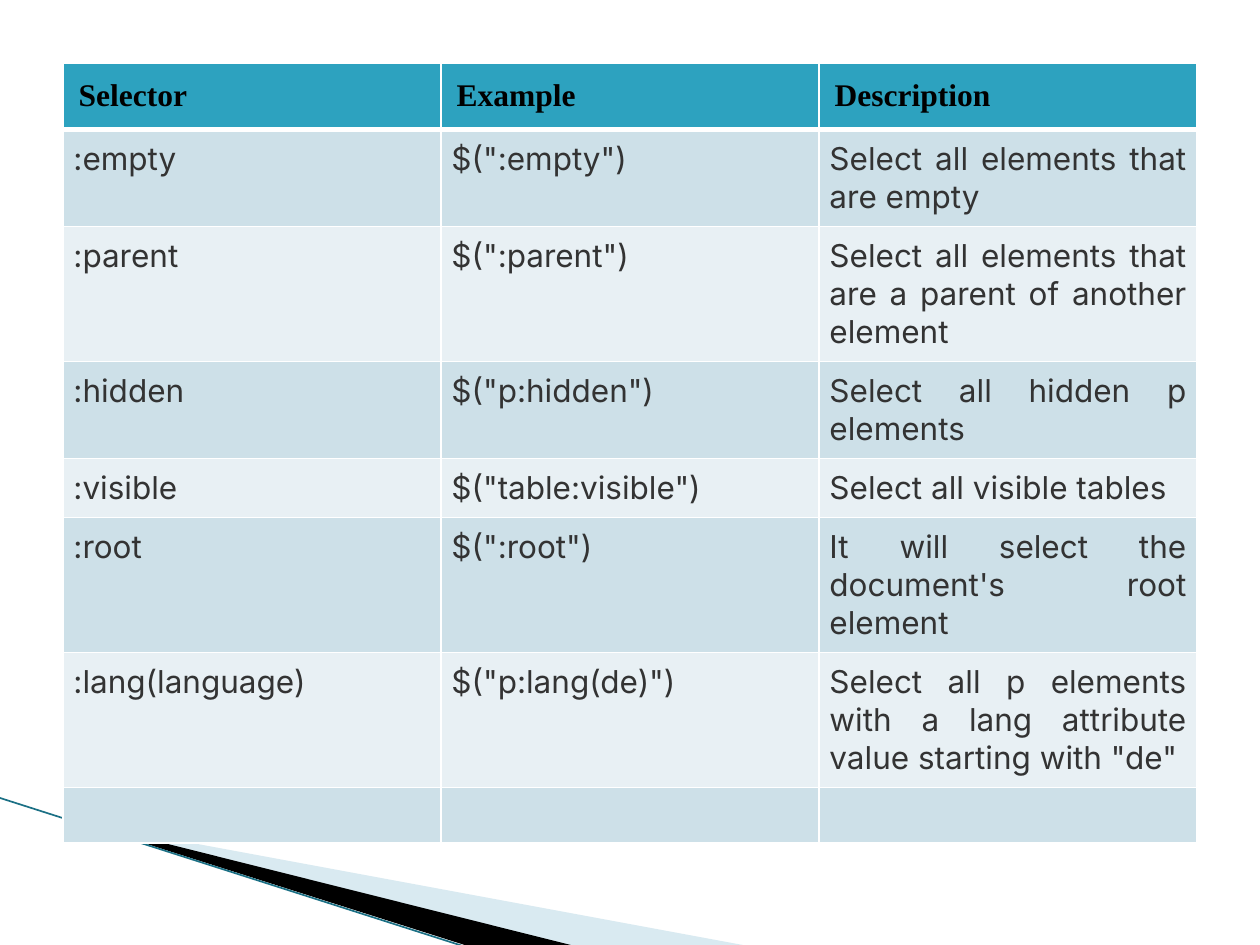
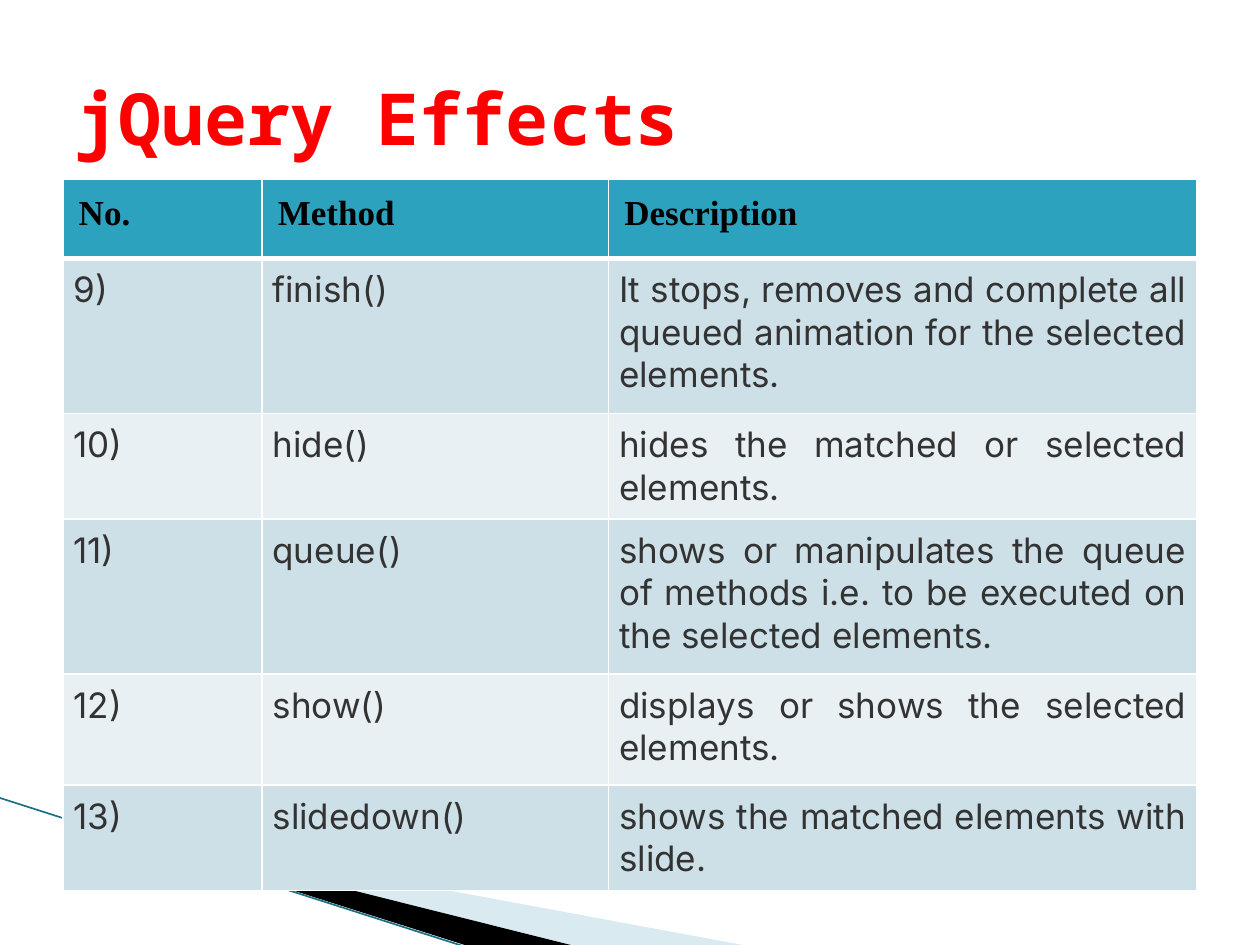
from lxml import etree
from pptx import Presentation
from pptx import util as u
from pptx.dml.color import RGBColor
from pptx.enum import shapes, text
from pptx.oxml import ns

WHITE, BLACK, INK, RED = "FFFFFF", "000000", "333333", "FF0000"
TEAL, EDGE, PALE = "2DA2BF", "1B7085", "A0CBDC"
STRIPES = ["CDE0E8", "E8F0F4"]


def paint(fill, color):
    fill.solid()
    fill.fore_color.rgb = RGBColor.from_string(color)


def style_font(font, color, **values):
    font.color.rgb = RGBColor.from_string(color)
    for name, value in values.items():
        setattr(font, name, value)


deck = Presentation()
deck.slide_width, deck.slide_height = u.Inches(10), u.Inches(7.5)

# Swoosh shared by all pages: frame, outline, colour, opacity in percent
wedges = [
    ((0.78, 5.47, 4.16, 1.58), [(0.55, 6.51), (5.95, 7.51), (4.56, 7.51)], PALE, 40),
    ((-0.06, 6.33, 4.16, 0.92), [(0.54, 6.5), (4.57, 7.51), (3.72, 7.51)], BLACK, 100),
]

pages = [
    {
        "title": None,
        "top": 0.5,
        "size": 18,
        "columns": [3, 3, 3],
        "heights": [0.52, 0.77, 1.07, 0.77, 0.47, 1.07, 1.07, 0.44],
        "rows": [
            ["Selector", "Example", "Description"],
            [":empty", '$(":empty")', "Select all elements that are empty"],
            [":parent", '$(":parent")', "Select all elements that are a parent of another element"],
            [":hidden", '$("p:hidden")', "Select all hidden p elements"],
            [":visible", '$("table:visible")', "Select all visible tables"],
            [":root", '$(":root")', "It will select the document's root element"],
            [":lang(language)", '$("p:lang(de)")',
             'Select all p elements with a lang attribute value starting with "de"'],
            ["", "", ""],
        ],
    },
    {
        "title": "jQuery Effects",
        "top": 1.42,
        "size": 20,
        "columns": [1.58, 2.75, 4.67],
        "heights": [0.63, 1.23, 0.84, 1.23, 0.88, 0.84],
        "rows": [
            ["No.", "Method", "Description"],
            ["9)", "finish()",
             "It stops, removes and complete all queued animation for the selected elements."],
            ["10)", "hide()", "hides the matched or selected elements."],
            ["11)", "queue()",
             "shows or manipulates the queue of methods i.e. to be executed on the selected elements."],
            ["12)", "show()", "displays or shows the selected elements."],
            ["13)", "slidedown()", "shows the matched elements with slide."],
        ],
    },
]

for content in pages:
    # Layout 5 has only a title, layout 6 is blank
    page = deck.slides.add_slide(deck.slide_layouts[5 if content["title"] else 6])
    paint(page.background.fill, WHITE)

    # Swoosh: each outline reaches beyond its frame
    for frame, points, color, opacity in wedges:
        left, top, width, height = [u.Inches(length) for length in frame]
        corners = [(u.Inches(x), u.Inches(y)) for x, y in points]
        builder = page.shapes.build_freeform(*corners[0])
        builder.add_line_segments(corners[1:])
        wedge = builder.convert_to_shape()
        wedge.left, wedge.top, wedge.width, wedge.height = left, top, width, height
        outline = wedge._element.find(".//" + ns.qn("a:path"))
        outline.set("w", str(width))
        outline.set("h", str(height))
        for corner, (x, y) in zip(outline.iter(ns.qn("a:pt")), corners):
            corner.set("x", str(x - left))
            corner.set("y", str(y - top))
        wedge.shadow.inherit = False
        wedge.line.fill.background()
        paint(wedge.fill, color)
        if opacity < 100:
            tint = wedge._element.spPr.find(".//" + ns.qn("a:srgbClr"))
            etree.SubElement(tint, ns.qn("a:alpha"), val=str(opacity * 1000))
    edge = page.shapes.add_connector(
        shapes.MSO_CONNECTOR.STRAIGHT,
        u.Inches(-0.01), u.Inches(6.33), u.Inches(3.71), u.Inches(7.52))
    edge.line.width = u.Pt(0.95)
    paint(edge.line.fill, EDGE)
    etree.SubElement(edge._element.spPr, ns.qn("a:effectLst"))

    # Title
    if content["title"]:
        title = page.shapes.title
        title.left, title.top = u.Inches(0.5), u.Inches(0.3)
        title.width, title.height = u.Inches(9), u.Inches(1.25)
        box = title.text_frame
        box.text = content["title"]
        box.auto_size = text.MSO_AUTO_SIZE.NONE
        box.vertical_anchor = text.MSO_ANCHOR.MIDDLE
        para = box.paragraphs[0]
        para.alignment = text.PP_ALIGN.LEFT
        style_font(para.runs[0].font, RED, name="Noto Sans Mono", size=u.Pt(41), bold=True)

    # Table
    rows, columns, heights = content["rows"], content["columns"], content["heights"]
    table = page.shapes.add_table(
        len(rows), len(columns), u.Inches(0.5), u.Inches(content["top"]),
        u.Inches(sum(columns)), u.Inches(sum(heights))).table
    for column, width in zip(table.columns, columns):
        column.width = u.Inches(width)
    for row, height in zip(table.rows, heights):
        row.height = u.Inches(height)

    for r, row in enumerate(rows):
        header = r == 0
        for c, words in enumerate(row):
            cell = table.cell(r, c)

            # White borders, with a heavy rule below the header
            weights = {"lnL": 1, "lnR": 1, "lnT": 3 if r == 1 else 1, "lnB": 3 if header else 1}
            for side, weight in weights.items():
                border = etree.SubElement(
                    cell._tc.get_or_add_tcPr(), ns.qn("a:" + side), w=str(u.Pt(weight)))
                solid = etree.SubElement(border, ns.qn("a:solidFill"))
                etree.SubElement(solid, ns.qn("a:srgbClr"), val=WHITE)
            paint(cell.fill, TEAL if header else STRIPES[(r - 1) % 2])
            if not words:
                continue

            for side in ("left", "right", "top", "bottom"):
                setattr(cell, "margin_" + side, u.Pt(9 if header else 6))
            para = cell.text_frame.paragraphs[0]
            para.alignment = text.PP_ALIGN.LEFT if header else text.PP_ALIGN.JUSTIFY
            span = para.add_run()
            span.text = words
            style_font(span.font, BLACK if header else INK, bold=header,
                       name="Times New Roman" if header else "Inter",
                       size=u.Pt(content["size"]))

deck.save("out.pptx")
